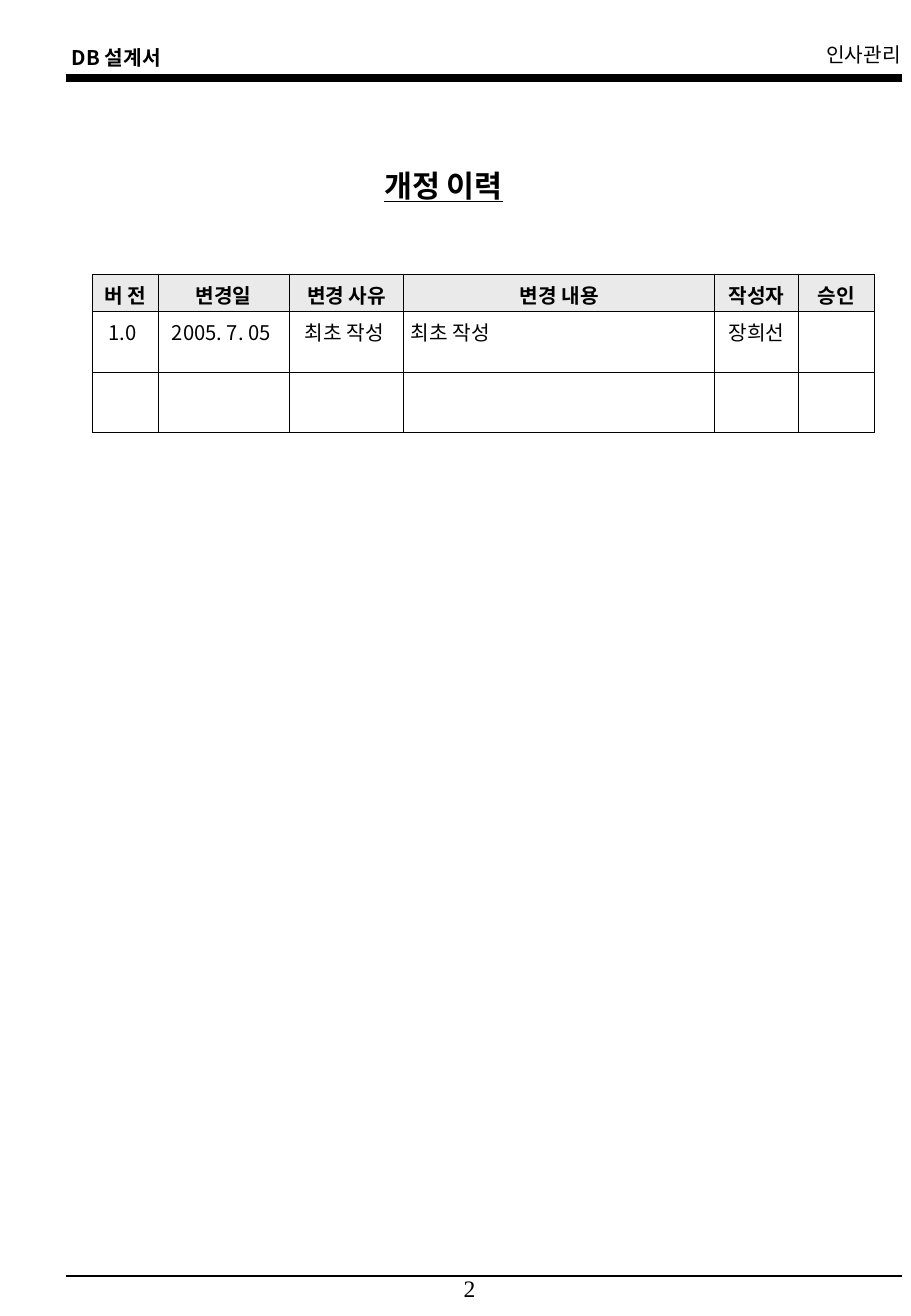
from lxml.etree import SubElement as Sub
from pptx import Presentation
from pptx.dml.color import RGBColor
from pptx.enum.shapes import MSO_CONNECTOR as Link
from pptx.enum.text import MSO_ANCHOR as Anchor, MSO_AUTO_SIZE as Auto, PP_ALIGN as Align
from pptx.oxml.ns import qn
from pptx.util import Pt

BLACK = RGBColor(0, 0, 0)
WHITE = RGBColor(255, 255, 255)
GRAY = RGBColor(0xEA, 0xEA, 0xEA)
SANS = "Noto Sans CJK KR"
SERIF = "Times New Roman"

TITLE = "개정 이력"
LABELS = [
    ("DB 설계서", (35.6, 23.3, 72, 21.6), Align.LEFT, SANS, 12, True, False),
    ("인사관리", (482.8, 21.6, 58.3, 21.6), Align.RIGHT, SANS, 12, False, False),
    ("2", (253, 751.9, 36, 29.5), Align.RIGHT, SERIF, 14, False, True),
]
RULES = [(46.1, 4.5), (756.7, 1)]
LEFT, RIGHT = 38.9, 534.4
ROWS = [
    ["버 전", "변경일", "변경 사유", "변경 내용", "작성자", "승인"],
    ["1.0 ", "2005. 7. 05 ", "최초 작성 ", "최초 작성", "장희선", ""],
    [""] * 6,
]
WIDTHS = [38.9, 78, 67.7, 184.4, 49.8, 44.9]
HEIGHTS = [21.9, 36, 36]
NOTE = 3


def write(frame, text, align, face, size, bold, line=False, gap=0):
    para = frame.paragraphs[0]
    para.text = text
    para.alignment = align
    para.space_before = Pt(gap)
    font = para.font
    font.size, font.bold, font.underline = Pt(size), bold, line
    font.color.rgb = BLACK
    font.name = face
    Sub(para._p.pPr.find(qn("a:defRPr")), qn("a:ea"), typeface=face)


def edge(cell):
    props = cell._tc.get_or_add_tcPr()
    for spot, side in enumerate(("lnL", "lnR", "lnT", "lnB")):
        line = props.makeelement(qn("a:" + side), {"w": str(Pt(0.45))})
        fill = Sub(line, qn("a:solidFill"))
        Sub(fill, qn("a:srgbClr"), val=str(BLACK))
        props.insert(spot, line)


def main():
    deck = Presentation()
    deck.slide_width, deck.slide_height = Pt(540), Pt(780.48)
    slide = deck.slides.add_slide(deck.slide_layouts[5])
    shapes = slide.shapes

    title = shapes.title
    title.left, title.top, title.width, title.height = map(Pt, (220.5, 95.3, 151.2, 28.8))
    frame = title.text_frame
    frame.word_wrap = True
    frame.vertical_anchor = Anchor.TOP
    frame.auto_size = Auto.SHAPE_TO_FIT_TEXT
    write(frame, TITLE, Align.LEFT, SANS, 18, True, True, 11.2)

    for text, box, align, face, size, bold, wrap in LABELS:
        frame = shapes.add_textbox(*map(Pt, box)).text_frame
        frame.word_wrap = wrap
        frame.auto_size = Auto.NONE if wrap else Auto.SHAPE_TO_FIT_TEXT
        write(frame, text, align, face, size, bold)

    for y, width in RULES:
        rule = shapes.add_connector(Link.STRAIGHT, Pt(LEFT), Pt(y), Pt(RIGHT), Pt(y))
        rule.line.color.rgb = BLACK
        rule.line.width = Pt(width)
        Sub(rule._element.spPr, qn("a:effectLst"))

    table = shapes.add_table(
        len(ROWS), len(WIDTHS), Pt(54.7), Pt(162.7), Pt(sum(WIDTHS)), Pt(sum(HEIGHTS))
    ).table
    table.first_row = table.horz_banding = False
    for col, width in zip(table.columns, WIDTHS):
        col.width = Pt(width)
    for r, (row, height) in enumerate(zip(ROWS, HEIGHTS)):
        table.rows[r].height = Pt(height)
        for c, text in enumerate(row):
            cell = table.cell(r, c)
            cell.margin_left = cell.margin_right = Pt(4.3)
            cell.fill.solid()
            cell.fill.fore_color.rgb = WHITE if r else GRAY
            edge(cell)
            if text:
                align = Align.LEFT if r and c == NOTE else Align.CENTER
                write(cell.text_frame, text, align, SANS, 12, r == 0, gap=3)

    deck.save("out.pptx")


if __name__ == "__main__":
    main()
